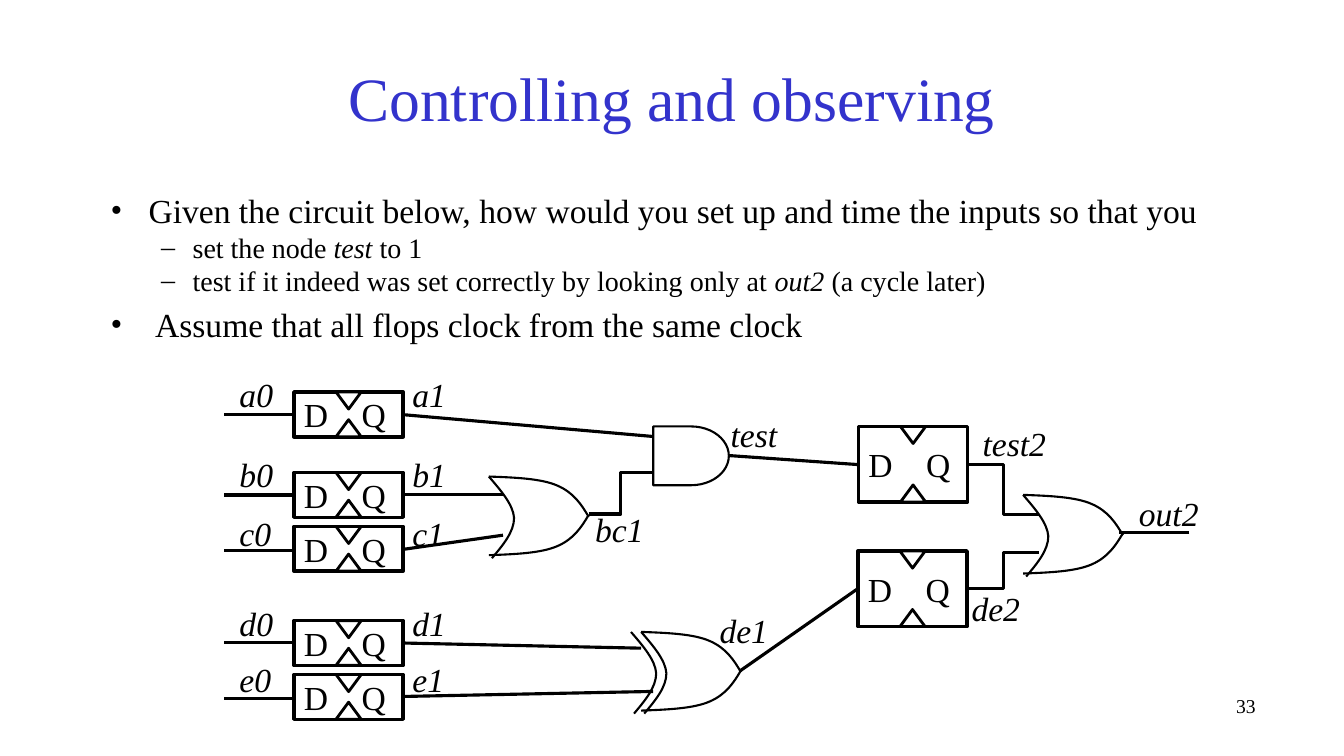
from dataclasses import dataclass

import pptx
import pptx.util
from lxml import etree
from pptx.dml.color import RGBColor
from pptx.enum.shapes import MSO_CONNECTOR, MSO_SHAPE
from pptx.enum.text import MSO_ANCHOR, MSO_AUTO_SIZE, PP_ALIGN
from pptx.oxml.ns import qn

Pt = pptx.util.Pt


@dataclass(frozen=True)
class Theme:
    font: str = "Times New Roman"
    ink: RGBColor = RGBColor(0, 0, 0)
    paper: RGBColor = RGBColor(255, 255, 255)
    blue: RGBColor = RGBColor(0x33, 0x33, 0xCC)
    title: float = 44
    text: float = 24
    sub: float = 20
    small: float = 14
    box: float = 2.5
    wire: float = 2.25
    clock: float = 2
    gate: float = 1.5


THEME = Theme()

# Flop name, top of its box, top of its labels, height of its input wire
INPUTS = [
    ("a", 280, 263.5, 296),
    ("b", 337.5, 321, 353.6),
    ("c", 376, 362.6, 393),
    ("d", 443.3, 427, 459.2),
    ("e", 481.8, 466.8, 498.7),
]
BIG_FLOPS = [(613.2, 304.6), (612.8, 393.6)]
WIRES = [
    (288, 296.2, 466.6, 311.8),
    (288, 353.5, 360, 353.5),
    (288, 392.4, 359.3, 382.3),
    (288, 459.3, 457.9, 463),
    (288, 497.5, 466.6, 493.9),
    (520.6, 325.4, 613.4, 331.9),
    (529.2, 478.8, 612.7, 420.5),
    (849.6, 380.6, 799.2, 380.6),
]
BENDS = [
    (691.2, 331.9, 742.3, 367.2),
    (691.2, 420.5, 742.3, 395),
    (420.5, 367.2, 466.6, 337.7),
]
LABELS = [
    ("test", 514.8, 292.3),
    ("bc1", 418, 360),
    ("de1", 506.9, 432),
    ("test2", 694.8, 298.8),
    ("de2", 686.9, 416.6),
    ("out2", 806.4, 348.5),
]
BODY = [
    (0, ["Given the circuit below, how would you set up and time the inputs so that you"]),
    (1, ["set the node ", "test", " to 1"]),
    (1, ["test if it indeed was set correctly by looking only at ", "out2 ", "(a cycle later)"]),
    (0, [" Assume that all flops clock from the same clock"]),
]
# Nodes and handles of two joined cubic curves, from the gate's top left corner
EDGE = [(0, 0), (18.7, 0.7), (37.4, 1.4), (49, 6.5), (60.5, 11.5), (66.2, 20), (71.3, 28.8)]
BACK = [(0, 0), (8.6, 10), (17.3, 20), (18, 29.5), (18, 39.6), (10, 49), (2.2, 58.3)]
GATE_H = 56.2


def set_font(para, size, color=THEME.ink, italic=False):
    font = para.font
    font.name, font.size, font.italic = THEME.font, Pt(size), italic
    font.color.rgb = color


def add_text(shapes, text, x, y, w, h, size, color=THEME.ink, align=PP_ALIGN.LEFT):
    frame = shapes.add_textbox(Pt(x), Pt(y), Pt(w), Pt(h)).text_frame
    frame.word_wrap = True
    para = frame.paragraphs[0]
    para.text, para.alignment = text, align
    set_font(para, size, color)
    return frame


def add_label(shapes, text, x, y):
    frame = add_text(shapes, text, x, y, 14 + 14 * len(text), 36, THEME.text)
    frame.word_wrap = False
    frame.auto_size = MSO_AUTO_SIZE.SHAPE_TO_FIT_TEXT
    frame.paragraphs[0].font.italic = True


def add_body(shapes):
    frame = shapes.add_textbox(Pt(72), Pt(132), Pt(816), Pt(138)).text_frame
    frame.word_wrap = True
    for num, (level, parts) in enumerate(BODY):
        para = frame.add_paragraph() if num else frame.paragraphs[0]
        para.level = level
        para.space_before = Pt(0 if level else 4.8)
        props = para._p.get_or_add_pPr()
        left, hang = ((27, 27), (58.5, 22.5))[level]
        props.set("marL", str(Pt(left)))
        props.set("indent", str(-Pt(hang)))
        etree.SubElement(props, qn("a:buFont"), typeface=THEME.font)
        etree.SubElement(props, qn("a:buChar"), char="•–"[level])
        set_font(para, THEME.sub if level else THEME.text)
        for spot, part in enumerate(parts):
            run = para.add_run()
            run.text = part
            if spot == 1:
                run.font.italic = True


def add_shape(shapes, kind, x, y, w, h, line):
    shape = shapes.add_shape(kind, Pt(x), Pt(y), Pt(w), Pt(h))
    shape.shadow.inherit = False
    shape.fill.solid()
    shape.fill.fore_color.rgb = THEME.paper
    shape.line.color.rgb = THEME.ink
    shape.line.width = Pt(line)
    return shape


def add_flop(slide, x, y, h):
    """Flip-flop box with a clock mark on its top and bottom edges."""
    shapes = slide.shapes.add_group_shape().shapes
    w, mark_w, mark_h = 78, 18, 12.2
    box = add_shape(shapes, MSO_SHAPE.RECTANGLE, x, y, w, h, THEME.box)
    frame = box.text_frame
    frame.word_wrap = False
    frame.vertical_anchor = MSO_ANCHOR.MIDDLE
    para = frame.paragraphs[0]
    para.text, para.alignment = "D\tQ", PP_ALIGN.LEFT
    tabs = etree.SubElement(para._p.get_or_add_pPr(), qn("a:tabLst"))
    etree.SubElement(tabs, qn("a:tab"), pos=str(Pt(41.3)), algn="l")
    set_font(para, THEME.text)
    for top, turn in ((y + h - mark_h, 0), (y, 180)):
        mark = add_shape(shapes, MSO_SHAPE.ISOSCELES_TRIANGLE,
                         x + (w - mark_w) / 2, top, mark_w, mark_h, THEME.clock)
        mark.rotation = turn


def bend(curve):
    """Turn each three line segments of a freeform into one cubic curve."""
    lines = list(curve._element.iter(qn("a:lnTo")))
    for first in range(0, len(lines), 3):
        cubic = etree.Element(qn("a:cubicBezTo"))
        lines[first].addprevious(cubic)
        for line in lines[first:first + 3]:
            cubic.append(line[0])
            line.getparent().remove(line)


def add_curve(shapes, nodes, x, y):
    points = [(Pt(x + px), Pt(y + py)) for px, py in nodes]
    pen = shapes.build_freeform(*points[0])
    pen.add_line_segments(points[1:], close=False)
    curve = pen.convert_to_shape()
    bend(curve)
    curve.shadow.inherit = False
    curve.fill.background()
    curve.line.color.rgb = THEME.ink
    curve.line.width = Pt(THEME.gate)


def add_gate(shapes, x, y):
    add_curve(shapes, EDGE, x, y)
    add_curve(shapes, [(px, GATE_H - py) for px, py in EDGE], x, y)
    add_curve(shapes, BACK, x, y)


def add_wire(shapes, ends, kind=MSO_CONNECTOR.STRAIGHT):
    wire = shapes.add_connector(kind, *map(Pt, ends))
    wire.line.color.rgb = THEME.ink
    wire.line.width = Pt(THEME.wire)
    etree.SubElement(wire._element.spPr, qn("a:effectLst"))


def main():
    deck = pptx.Presentation()
    deck.slide_width, deck.slide_height = Pt(960), Pt(540)
    slide = deck.slides.add_slide(deck.slide_layouts[6])
    shapes = slide.shapes

    add_text(shapes, "33", 600, 492, 304, 36, THEME.small, align=PP_ALIGN.RIGHT)
    title = add_text(shapes, "Controlling and observing", 72, 24, 816, 90,
                     THEME.title, THEME.blue, PP_ALIGN.CENTER)
    title.vertical_anchor = MSO_ANCHOR.MIDDLE
    add_body(shapes)

    add_shape(shapes, MSO_SHAPE.FLOWCHART_DELAY, 466.6, 304.6, 54, 42, THEME.gate)
    for x, y in ((730.8, 353.5), (349.2, 340.4)):
        add_gate(shapes.add_group_shape().shapes, x, y)
    add_gate(shapes, 458, 451.4)
    add_curve(shapes, BACK, 450.7, 451.4)
    for x, y in BIG_FLOPS:
        add_flop(slide, x, y, 54)
    for name, top, text_y, wire_y in INPUTS:
        add_flop(slide, 210, top, 32)
        add_wire(shapes, (209.5, wire_y, 159.8, wire_y))
        add_label(shapes, name + "0", 164, text_y)
        add_label(shapes, name + "1", 287.5, text_y)
    for ends in WIRES:
        add_wire(shapes, ends)
    for ends in BENDS:
        add_wire(shapes, ends, MSO_CONNECTOR.ELBOW)
    for text, x, y in LABELS:
        add_label(shapes, text, x, y)

    deck.save("out.pptx")


if __name__ == "__main__":
    main()
